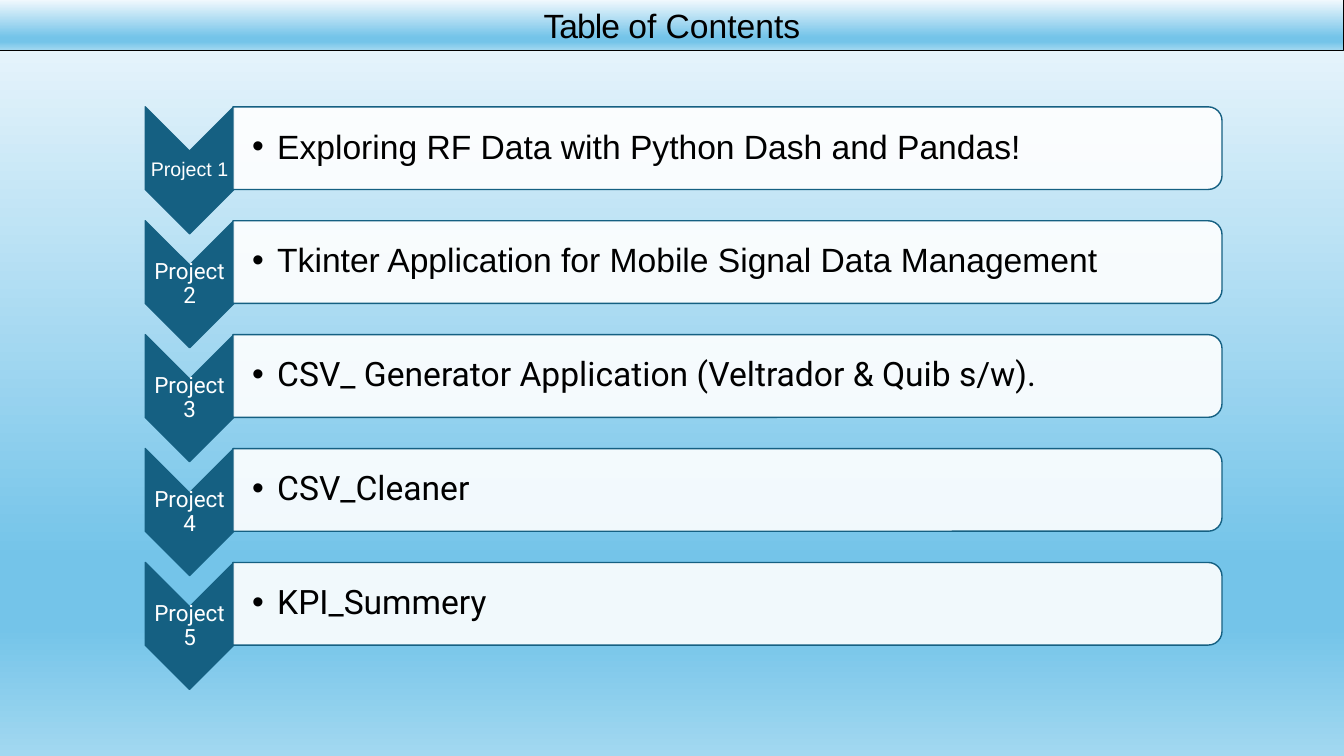
from lxml import etree
from pptx import Presentation
from pptx.dml.color import RGBColor
from pptx.enum import shapes, text
from pptx.oxml import ns
from pptx.util import Inches, Pt

BLACK = RGBColor(0x00, 0x00, 0x00)
WHITE = RGBColor(0xFF, 0xFF, 0xFF)
TEAL = RGBColor(0x15, 0x60, 0x82)
PALE = RGBColor(0xF0, 0xF8, 0xFD)
SKY = RGBColor(0x74, 0xC4, 0xE9)
LIGHT_SKY = RGBColor(0xA2, 0xD8, 0xF0)
SKY_STOPS = [(0, PALE), (74, SKY), (83, SKY), (100, LIGHT_SKY)]

SLIDE_WIDTH = 13.33
FIRST_TOP = 1.06
PITCH = 1.13
BAR_LEFT, BAR_LENGTH, BAR_THICKNESS = 2.31, 9.81, 0.82
CHEVRON_LEFT, CHEVRON_LENGTH, CHEVRON_THICKNESS = 1.44, 1.26, 0.88

PROJECTS = [  # label, label font, label size, title, title font
    ("Project 1", "Arial", 14, "Exploring RF Data with Python Dash and Pandas!", "Arial"),
    ("Project 2", "Roboto", 16, "Tkinter Application for Mobile Signal Data Management", "Arial"),
    ("Project 3", "Roboto", 16, "CSV_ Generator Application (Veltrador & Quib s/w).", "Roboto"),
    ("Project 4", "Roboto", 16, "CSV_Cleaner", "Roboto"),
    ("Project 5", "Roboto", 16, "KPI_Summery", "Roboto"),
]


def add_element(parent, tag, **attributes):
    return etree.SubElement(parent, ns.qn(tag), attributes)


def apply_sky_gradient(fill, properties):
    """Fill from top to bottom; properties is the element that holds the fill."""
    fill.gradient()
    fill.gradient_angle = 270
    stop_list = properties.find(ns.qn("a:gradFill")).find(ns.qn("a:gsLst"))
    for stop in list(stop_list):
        stop_list.remove(stop)
    for percent, color in SKY_STOPS:
        stop = add_element(stop_list, "a:gs", pos=str(percent * 1000))
        add_element(stop, "a:srgbClr", val=str(color))


def add_run(paragraph, content, font, size, color):
    run = paragraph.add_run()
    run.text = content
    run.font.name = font
    run.font.size = Pt(size)
    run.font.color.rgb = color
    return run


def add_outlined_shape(slide, kind, left, top, width, height, line_color, line_width):
    shape = slide.shapes.add_shape(
        kind, Inches(left), Inches(top), Inches(width), Inches(height))
    shape.shadow.inherit = False
    shape.line.color.rgb = line_color
    shape.line.width = Pt(line_width)
    return shape


def add_turned_shape(slide, kind, left, top, width, height, color):
    """Place a shape turned by 90 degrees so that it covers the given area."""
    shape = add_outlined_shape(
        slide, kind, left + (width - height) / 2, top + (height - width) / 2,
        height, width, TEAL, 1)
    shape.rotation = 90
    shape.fill.solid()
    shape.fill.fore_color.rgb = color
    return shape


def add_middle_text(slide, left, top, width, height, inset, left_inset):
    """Add a wrapping, vertically centred text box and return its paragraph."""
    box = slide.shapes.add_textbox(
        Inches(left), Inches(top), Inches(width), Inches(height))
    frame = box.text_frame
    frame.word_wrap = True
    frame.vertical_anchor = text.MSO_ANCHOR.MIDDLE
    frame.margin_top = frame.margin_right = frame.margin_bottom = Inches(inset)
    frame.margin_left = Inches(left_inset)
    paragraph = frame.paragraphs[0]
    paragraph.line_spacing = 0.9
    return paragraph


def add_bullet(paragraph):
    paragraph.level = 1
    properties = paragraph._p.get_or_add_pPr()
    properties.set("marL", str(Inches(0.25)))
    properties.set("indent", str(-Inches(0.25)))
    add_element(properties, "a:buFont", typeface="Arial")
    add_element(properties, "a:buChar", char="•")


def add_title(slide):
    banner = add_outlined_shape(
        slide, shapes.MSO_SHAPE.RECTANGLE, 0, 0, SLIDE_WIDTH, 0.5, BLACK, 0.75)
    apply_sky_gradient(banner.fill, banner._element.spPr)
    frame = banner.text_frame
    frame.word_wrap = True
    frame.vertical_anchor = text.MSO_ANCHOR.TOP
    paragraph = frame.paragraphs[0]
    paragraph.alignment = text.PP_ALIGN.CENTER
    first_word = add_run(paragraph, "Table ", "Arial", 24, BLACK)
    first_word.font._element.set("spc", "-70")
    add_run(paragraph, "of Contents", "Arial", 24, BLACK)


def add_project(slide, top, label, label_font, label_size, title, title_font):
    add_turned_shape(slide, shapes.MSO_SHAPE.CHEVRON, CHEVRON_LEFT, top,
                     CHEVRON_THICKNESS, CHEVRON_LENGTH, TEAL)
    paragraph = add_middle_text(
        slide, CHEVRON_LEFT, top + 0.44, CHEVRON_THICKNESS, 0.38, 0.01, 0.01)
    paragraph.alignment = text.PP_ALIGN.CENTER
    add_run(paragraph, label, label_font, label_size, WHITE)

    bar = add_turned_shape(slide, shapes.MSO_SHAPE.ROUND_2_SAME_RECTANGLE, BAR_LEFT,
                           top, BAR_LENGTH, BAR_THICKNESS, WHITE)
    color = bar._element.spPr.find(ns.qn("a:solidFill"))[0]
    add_element(color, "a:alpha", val="90000")
    paragraph = add_middle_text(slide, BAR_LEFT, top + 0.04, 9.77, 0.74, 0.02, 0.19)
    add_bullet(paragraph)
    add_run(paragraph, title, title_font, 24, BLACK)


def main():
    presentation = Presentation()
    presentation.slide_width = Inches(SLIDE_WIDTH)
    presentation.slide_height = Inches(7.5)
    slide = presentation.slides.add_slide(presentation.slide_layouts[6])
    apply_sky_gradient(slide.background.fill, slide._element.cSld.bg.bgPr)
    add_title(slide)
    for index, project in enumerate(PROJECTS):
        add_project(slide, FIRST_TOP + index * PITCH, *project)
    presentation.save("out.pptx")


if __name__ == "__main__":
    main()
